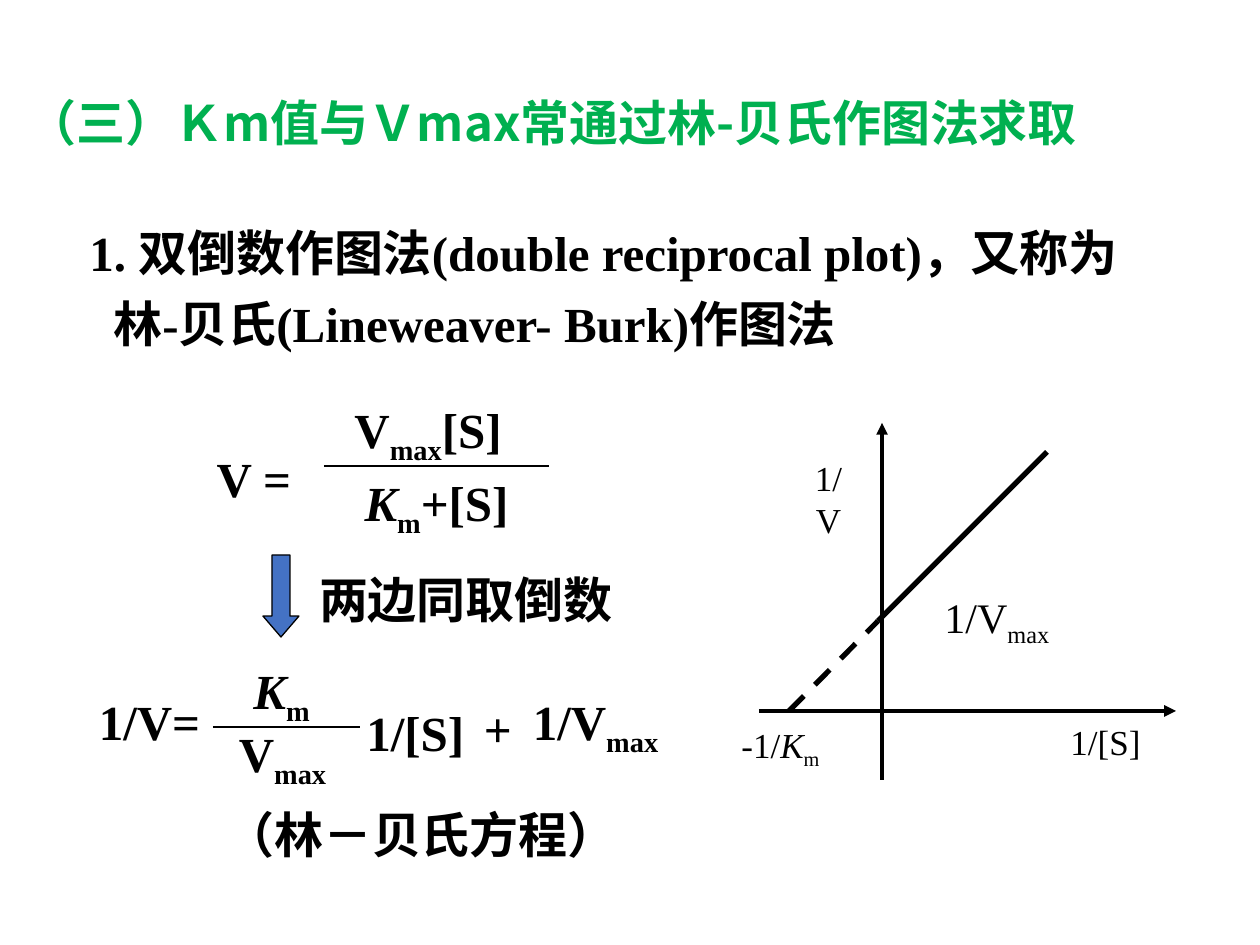
from typing import NamedTuple

from lxml.etree import SubElement
from pptx import Presentation
from pptx.dml.color import RGBColor
from pptx.enum.dml import MSO_LINE
from pptx.enum.shapes import MSO_CONNECTOR, MSO_SHAPE
from pptx.enum.text import MSO_ANCHOR, PP_ALIGN
from pptx.oxml.ns import qn
from pptx.util import Emu, Pt

PX_PER_INCH = 126
COLORS = {"ink": "000000", "title": "00B050", "arrow": "4472C4"}
SERIF, SANS = "Times New Roman", "Noto Sans CJK SC"
LEFT, CENTER, RIGHT = PP_ALIGN.LEFT, PP_ALIGN.CENTER, PP_ALIGN.RIGHT


class Term(NamedTuple):
    """A stretch of text, possibly a subscript or italic."""
    text: str
    sub: bool = False
    italic: bool = False


class Label(NamedTuple):
    terms: tuple[Term, ...]
    box: tuple[int, int, int, int]
    size: int = 28
    bold: bool = True
    align: PP_ALIGN = CENTER
    wrap: bool = False


class Stroke(NamedTuple):
    start: tuple[int, int]
    end: tuple[int, int]
    width: float
    arrow: bool = False
    dashed: bool = False


def px(length: int) -> Emu:
    return Emu(round(length * 914400 / PX_PER_INCH))


def rgb(name: str) -> RGBColor:
    return RGBColor.from_string(COLORS[name])


def add_text(slide, terms, box, *, size=28, bold=True, align=LEFT, wrap=True,
             font=SERIF, color="ink", spacing=None, hanging=0) -> None:
    frame = slide.shapes.add_textbox(*map(px, box)).text_frame
    frame.word_wrap = wrap
    frame.vertical_anchor = MSO_ANCHOR.TOP
    paragraph = frame.paragraphs[0]
    paragraph.alignment = align
    if spacing:
        paragraph.line_spacing = spacing
    if hanging:
        properties = paragraph._p.get_or_add_pPr()
        properties.set("marL", str(px(hanging)))
        properties.set("indent", str(-px(hanging)))
    for term in terms:
        run = paragraph.add_run()
        run.text = term.text
        run.font.size = Pt(size)
        run.font.bold = bold
        run.font.italic = term.italic
        run.font.name = font
        run.font.color.rgb = rgb(color)
        r_pr = run._r.get_or_add_rPr()
        SubElement(r_pr, qn("a:ea")).set("typeface", SANS)
        if term.sub:
            r_pr.set("baseline", "-25000")


def add_stroke(slide, stroke: Stroke) -> None:
    line = slide.shapes.add_connector(
        MSO_CONNECTOR.STRAIGHT, *map(px, stroke.start + stroke.end))
    line.line.color.rgb = rgb("ink")
    line.line.width = Pt(stroke.width)
    if stroke.dashed:
        line.line.dash_style = MSO_LINE.DASH
    if stroke.arrow:
        SubElement(line.line._get_or_add_ln(), qn("a:tailEnd")).set("type", "triangle")
    SubElement(line._element.spPr, qn("a:effectLst"))


def add_down_arrow(slide, box: tuple[int, int, int, int]) -> None:
    arrow = slide.shapes.add_shape(MSO_SHAPE.DOWN_ARROW, *map(px, box))
    arrow.adjustments[0], arrow.adjustments[1] = 0.5, 0.58
    arrow.shadow.inherit = False
    arrow.fill.solid()
    arrow.fill.fore_color.rgb = rgb("arrow")
    arrow.line.color.rgb = rgb("ink")
    arrow.line.width = Pt(0.75)


KM = (Term("K", italic=True), Term("m", sub=True))
MAX = Term("max ", sub=True)

EQUATIONS = [
    # Rate equation
    Label((Term(" V"), Term("max", sub=True), Term("[S] ")), (330, 393, 197, 79)),
    Label((*KM, Term("+[S]")), (300, 466, 273, 79), wrap=True),
    Label((Term("V = "),), (204, 442, 112, 72)),
    Label((Term("两边同取倒数"),), (306, 563, 319, 72), align=RIGHT),
    # Reciprocal equation
    Label((Term("1/V="),), (34, 685, 231, 72), wrap=True),
    Label(KM, (203, 654, 157, 79), wrap=True),
    Label((Term("V"), MAX), (226, 717, 120, 79)),
    Label((Term("1/[S] "),), (354, 696, 135, 72)),
    Label((Term("+ "),), (471, 692, 66, 72)),
    Label((Term("1/V"), MAX), (520, 685, 158, 79)),
    Label((Term("（林－贝氏方程）"),), (193, 798, 456, 72), wrap=True),
]

PLOT_LABELS = [
    Label((Term("1/V"),), (790, 450, 77, 55), 20, False),
    Label((Term("1/V"), MAX), (932, 585, 136, 71), 24, False),
    Label((Term("1/[S]"),), (1047, 714, 117, 55), 20, False, wrap=True),
    Label((Term("-1/"), *KM), (729, 717, 139, 63), 20, False, LEFT, True),
]

INTERCEPT = (878, 621)
STROKES = [
    # Fraction bars
    Stroke((324, 466), (549, 466), 0.75),
    Stroke((213, 727), (360, 727), 0.75),
    # Axes
    Stroke((759, 711), (1176, 711), 2.25, arrow=True),
    Stroke((882, 780), (882, 423), 2.25, arrow=True),
    # Plotted line and its extrapolation
    Stroke(INTERCEPT, (1047, 452), 3),
    Stroke((789, 711), INTERCEPT, 3, dashed=True),
]


def main() -> None:
    deck = Presentation()
    deck.slide_width, deck.slide_height = px(1260), px(945)
    slide = deck.slides.add_slide(deck.slide_layouts[6])

    # Heading and introduction
    add_text(slide, [Term("（三）Ｋm值与Ｖmax常通过林-贝氏作图法求取")],
             (15, 86, 1245, 72), font=SANS, color="title")
    add_text(slide, [Term("1. 双倒数作图法(double reciprocal plot)，又称为 "
                          "林-贝氏(Lineweaver- Burk)作图法")],
             (77, 205, 1091, 169), spacing=1.2, hanging=24)

    # Equations and double reciprocal plot
    for stroke in STROKES:
        add_stroke(slide, stroke)
    add_down_arrow(slide, (263, 555, 36, 82))
    for label in EQUATIONS + PLOT_LABELS:
        add_text(slide, label.terms, label.box, size=label.size, bold=label.bold,
                 align=label.align, wrap=label.wrap)

    deck.save("out.pptx")


if __name__ == "__main__":
    main()
